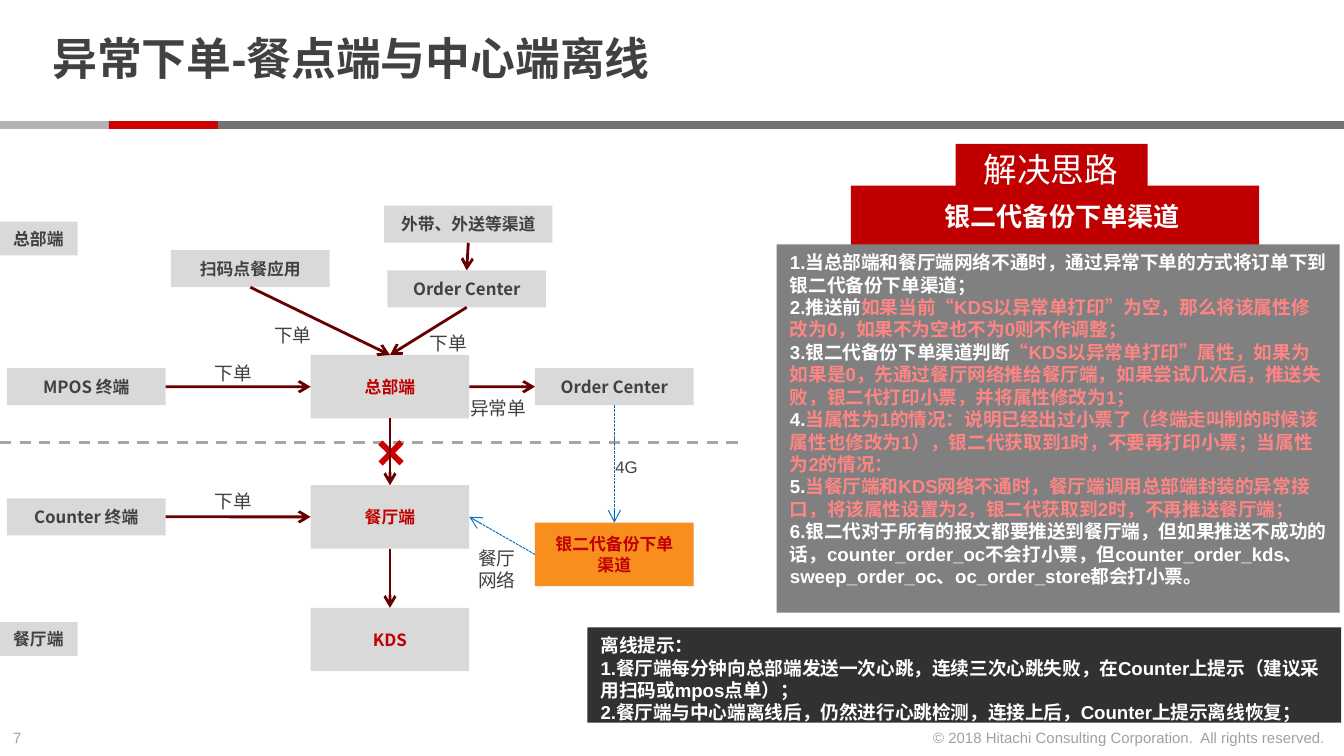
from dataclasses import dataclass

from lxml.etree import SubElement
from pptx import Presentation
from pptx.dml.color import RGBColor
from pptx.enum.dml import MSO_LINE_DASH_STYLE as Dash
from pptx.enum.lang import MSO_LANGUAGE_ID as Language
from pptx.enum.shapes import MSO_CONNECTOR as Connector, MSO_SHAPE as Shape
from pptx.enum.text import MSO_ANCHOR as Anchor, PP_ALIGN as Align
from pptx.oxml.ns import qn
from pptx.util import Cm, Pt


@dataclass(frozen=True)
class Theme:
    """Colours, fonts and type sizes of the slide."""
    ink: str = "414141"
    muted: str = "A0A0A0"
    white: str = "FFFFFF"
    pink: str = "FF8585"
    red: str = "CC0000"
    deep_red: str = "C00000"
    maroon: str = "660000"
    blue: str = "0070C0"
    orange: str = "F78E1E"
    node: str = "D9D9D9"
    divider: str = "A6A6A6"
    light_bar: str = "B3B3B3"
    dark_bar: str = "737373"
    panel: str = "808080"
    dark_panel: str = "313131"
    latin: str = "Arial"
    cjk: str = "Noto Sans CJK SC"
    title: int = 24
    badge: int = 18
    banner: int = 14
    body: int = 10
    small: int = 9
    footer: int = 8


THEME = Theme()
TOP, LEFT, BOTTOM, RIGHT = range(4)


def rgb(value):
    """Return a colour for a hexadecimal string."""
    return RGBColor.from_string(value)


def write(shape, paragraphs, size=THEME.body, color=THEME.ink, bold=False, font=THEME.latin,
          align=Align.LEFT, anchor=Anchor.TOP, wrap=True, spacing=None):
    """Fill a shape with paragraphs, each a string or a list of (text, colour) runs."""
    frame = shape.text_frame
    frame.word_wrap, frame.vertical_anchor = wrap, anchor
    for index, content in enumerate(paragraphs):
        paragraph = frame.paragraphs[0] if index == 0 else frame.add_paragraph()
        paragraph.alignment = align
        if spacing:
            paragraph.line_spacing = spacing
        runs = [(content, color)] if isinstance(content, str) else content
        for text, run_color in runs:
            run = paragraph.add_run()
            run.text = text
            run.font.size, run.font.bold, run.font.name = Pt(size), bold, font
            run.font.color.rgb = rgb(run_color)
            run.font.language_id = Language.SIMPLIFIED_CHINESE
            SubElement(run.font._element, qn("a:ea"), typeface=THEME.cjk)
    return shape


def block(slide, left, top, width, height, fill, kind=Shape.RECTANGLE):
    """Add a plain filled shape."""
    shape = slide.shapes.add_shape(kind, Cm(left), Cm(top), Cm(width), Cm(height))
    shape.shadow.inherit = False
    shape.fill.solid()
    shape.fill.fore_color.rgb = rgb(fill)
    shape.line.fill.background()
    return shape


def label(slide, left, top, width, height, paragraphs, **style):
    """Add a text box."""
    box = slide.shapes.add_textbox(Cm(left), Cm(top), Cm(width), Cm(height))
    return write(box, paragraphs, **style)


def rule(slide, color, width, dash=None, points=(0, 0, 0, 0)):
    """Add a straight line without a shadow."""
    line = slide.shapes.add_connector(Connector.STRAIGHT, *map(Cm, points))
    SubElement(line._element.spPr, qn("a:effectLst"))
    line.line.color.rgb, line.line.width = rgb(color), Pt(width)
    if dash:
        line.line.dash_style = dash
    return line


def arrow(slide, source, source_side, target, target_side, color=THEME.maroon, width=1.5, dash=None):
    """Connect two shapes with an open arrow."""
    line = rule(slide, color, width, dash)
    line.begin_connect(source, source_side)
    line.end_connect(target, target_side)
    SubElement(line.line._get_or_add_ln(), qn("a:tailEnd"), type="arrow")


def header(slide, left, top, width):
    """Place the title and the three-part bar."""
    title = label(slide, left + 0.74, top + 0.15, 19.58, 2.03, ["异常下单-餐点端与中心端离线"],
                  size=THEME.title, bold=True, anchor=Anchor.MIDDLE, spacing=0.85)
    title.text_frame.margin_top = title.text_frame.margin_bottom = 0
    step = 2.06
    bars = ((0, step, THEME.light_bar), (step, step, THEME.red), (2 * step, width - 2 * step, THEME.dark_bar))
    for offset, length, fill in bars:
        block(slide, left + offset, top + 2.29, length, 0.15, fill)


def footer(slide, left, top, width):
    """Place the page number and the copyright line."""
    style = dict(size=THEME.footer, color=THEME.muted, wrap=False)
    label(slide, left, top, 0.86, 0.61, ["7"], **style)
    label(slide, left + width - 8.13, top, 8.03, 0.61,
          ["© 2018 Hitachi Consulting Corporation.\u00a0 All rights reserved."], align=Align.RIGHT, **style)


def order_flow(slide, left, top, width):
    """Place the ordering diagram with its nodes, arrows and labels."""
    rule(slide, THEME.divider, 1.5, Dash.DASH, (left, top + 4.47, left + width, top + 4.47))
    text_style = dict(size=THEME.small, bold=True, font=THEME.cjk)
    for text, y in (("总部端", 0.3), ("餐厅端", 7.87)):
        write(block(slide, left, top + y, 1.47, 0.64, THEME.node), [text], wrap=False, **text_style)

    def node(text, x, y, node_width=3.0, height=0.7, color=THEME.ink, fill=THEME.node):
        shape = block(slide, left + x, top + y, node_width, height, fill)
        return write(shape, [text], color=color, align=Align.CENTER, anchor=Anchor.MIDDLE, **text_style)

    entry, center, right = 0.13, 5.87, 10.11
    main = dict(height=1.2, color=THEME.deep_red)
    hub = node("总部端", center, 2.82, **main)
    restaurant = node("餐厅端", center, 5.28, **main)
    kitchen = node("KDS", center, 7.6, **main)
    backup = node("银二代备份下单渠道", right, 5.99, fill=THEME.orange, **main)
    terminal = node("MPOS 终端", entry, 3.07)
    counter = node("Counter 终端", entry, 5.53)
    scan = node("扫码点餐应用", 3.23, 0.84)
    channels = node("外带、外送等渠道", 7.26, 0, node_width=3.18)
    upper_center = node("Order Center", 7.32, 1.22)
    order_center = node("Order Center", right, 3.07)

    cross = block(slide, left + 7.11, top + 4.39, 0.56, 0.56, THEME.red, Shape.CROSS)
    cross.adjustments[0], cross.rotation = 0.4, 314.2

    for link in ((terminal, RIGHT, hub, LEFT), (scan, BOTTOM, hub, TOP), (upper_center, BOTTOM, hub, TOP),
                 (hub, BOTTOM, restaurant, TOP), (restaurant, BOTTOM, kitchen, TOP),
                 (hub, RIGHT, order_center, LEFT), (channels, BOTTOM, upper_center, TOP),
                 (counter, RIGHT, restaurant, LEFT)):
        arrow(slide, *link)
    for link in ((order_center, BOTTOM, backup, TOP), (backup, LEFT, restaurant, RIGHT)):
        arrow(slide, *link, color=THEME.blue, width=0.5, dash=Dash.SQUARE_DOT)

    for x, y in ((7.87, 2.26), (4.93, 2.1), (3.81, 2.82), (3.81, 5.25)):
        label(slide, left + x, top + y, 1.22, 0.69, ["下单"], wrap=False)
    label(slide, left + 8.64, top + 3.48, 1.57, 0.69, ["异常单"], wrap=False)
    label(slide, left + 8.79, top + 6.32, 1.22, 1.12, ["餐厅", "网络"], wrap=False)
    label(slide, left + 11.38, top + 4.62, 0.94, 0.64, ["4G"], size=THEME.small, wrap=False)


def solution(slide, left, top, width):
    """Place the stacked solution headings and the numbered explanation."""
    white, pink = THEME.white, THEME.pink
    block(slide, left + 3.38, top + 0.03, 3.63, 0.97, THEME.deep_red)
    label(slide, left + 3.66, top, 3.07, 1.02, ["解决思路"], size=THEME.badge, color=white, wrap=False)
    block(slide, left + 1.4, top + 0.82, 7.72, 1.12, THEME.deep_red)
    label(slide, left + 2.9, top + 0.97, 5, 0.86, ["银二代备份下单渠道"], size=THEME.banner,
          color=white, bold=True, align=Align.CENTER, wrap=False)
    steps = [
        "1.当总部端和餐厅端网络不通时，通过异常下单的方式将订单下到银二代备份下单渠道；",
        [("2.推送前", white),
         ("如果当前“KDS以异常单打印”为空，那么将该属性修改为0，如果不为空也不为0则不作调整；", pink)],
        [("3.银二代备份下单渠道判断", white),
         ("“KDS以异常单打印”属性，如果为如果是0，先通过餐厅网络推给餐厅端，如果尝试几次后，推送失败，"
          "银二代打印小票，并将属性修改为1；", pink)],
        [("4.", white),
         ("当属性为1的情况：说明已经出过小票了（终端走叫制的时候该属性也修改为1），"
          "银二代获取到1时，不要再打印小票；当属性为2的情况：", pink)],
        [("5.", white),
         ("当餐厅端和KDS网络不通时，餐厅端调用总部端封装的异常接口，将该属性设置为2，"
          "银二代获取到2时，不再推送餐厅端；", pink)],
        "6.银二代对于所有的报文都要推送到餐厅端，但如果推送不成功的话，counter_order_oc不会打小票，"
        "但counter_order_kds、 sweep_order_oc、oc_order_store都会打小票。",
    ]
    write(block(slide, left, top + 1.93, width, 6.96, THEME.panel), steps, color=white, bold=True)


def offline_notice(slide, left, top, width):
    """Place the dark box with the offline hints."""
    write(block(slide, left, top, width, 1.8, THEME.dark_panel), [
        "离线提示：",
        "1.餐厅端每分钟向总部端发送一次心跳，连续三次心跳失败，在Counter上提示（建议采用扫码或mpos点单）；",
        "2.餐厅端与中心端离线后，仍然进行心跳检测，连接上后，Counter上提示离线恢复；",
    ], color=THEME.white, bold=True)


def main():
    """Build and save the slide."""
    presentation = Presentation()
    presentation.slide_width, presentation.slide_height = Cm(25.4), Cm(14.29)
    slide = presentation.slides.add_slide(presentation.slide_layouts[6])
    header(slide, 0, 0, 25.4)
    footer(slide, 0, 13.65, 25.4)
    order_flow(slide, 0, 3.89, 14)
    solution(slide, 14.68, 2.69, 10.64)
    offline_notice(slide, 11.1, 11.86, 14.25)
    presentation.save("out.pptx")


if __name__ == "__main__":
    main()
